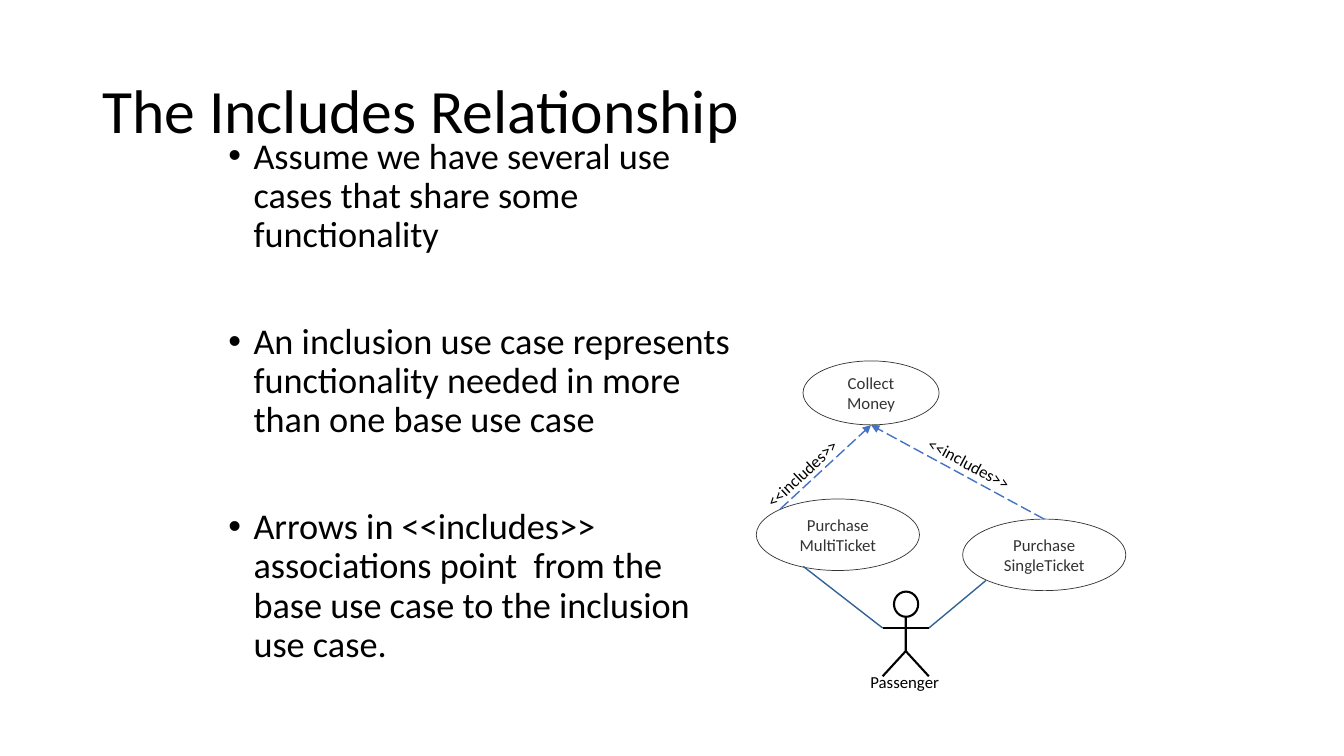
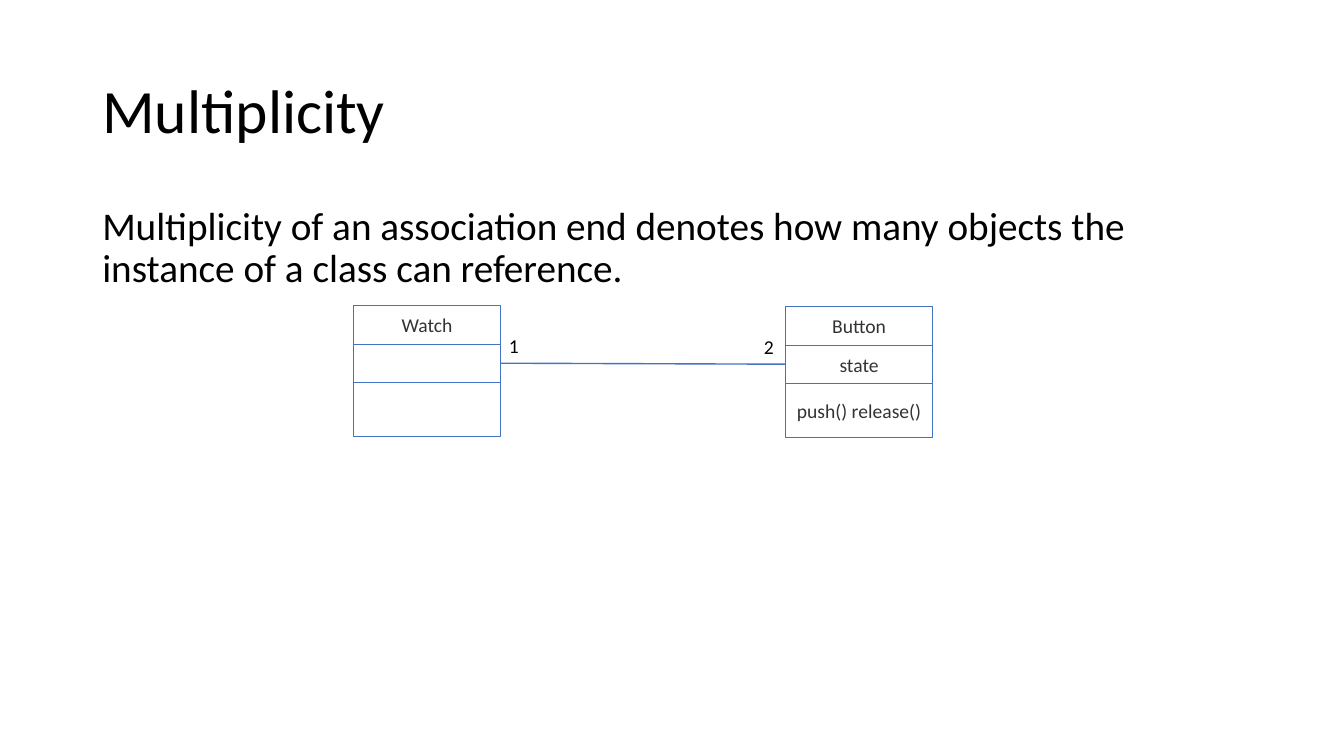
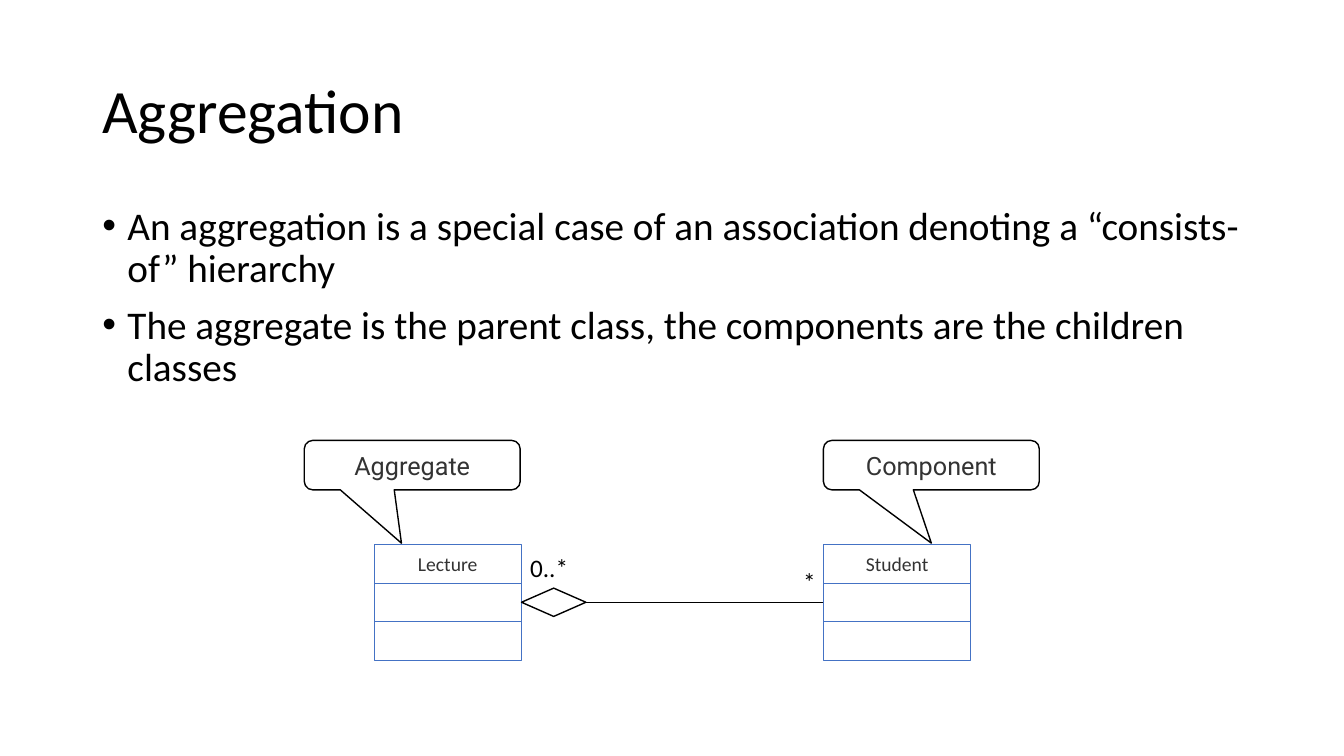
from dataclasses import dataclass

from lxml.etree import SubElement
from pptx import Presentation
from pptx.dml.color import RGBColor as RGB
from pptx.enum.dml import MSO_LINE as DASH
from pptx.enum.shapes import MSO_CONNECTOR as CXN, MSO_SHAPE as SHP
from pptx.enum.text import MSO_ANCHOR as ANCHOR, MSO_AUTO_SIZE as AUTO, PP_ALIGN as ALIGN
from pptx.oxml.ns import qn
from pptx.util import Pt

TOP, LEFT, BOTTOM, RIGHT = range(4)


@dataclass(frozen=True)
class Theme:
    # Colours
    black: RGB = RGB(0x00, 0x00, 0x00)
    white: RGB = RGB(0xFF, 0xFF, 0xFF)
    grey: RGB = RGB(0x33, 0x33, 0x33)
    blue: RGB = RGB(0x44, 0x72, 0xC4)
    steel: RGB = RGB(0x32, 0x63, 0x94)
    # Fonts and type sizes
    font: str = "Calibri"
    callout_font: str = "Roboto"
    title: float = 44
    body: float = 28
    compact: float = 25.9
    large: float = 18
    label: float = 14
    small: float = 12
    # Line widths
    hair: float = 0.5
    thin: float = 1
    bold: float = 1.5


T = Theme()


def apply(obj, fmt):
    for name, value in fmt.items():
        setattr(obj, name, value)


class Deck:
    """Holds the style and the slide being drawn."""

    def __init__(self):
        self.prs = Presentation()
        apply(self.prs, {"slide_width": Pt(960), "slide_height": Pt(540)})
        self.s = None

    def slide(self, title):
        self.s = self.prs.slides.add_slide(self.prs.slide_layouts[6])
        self.text(66, 28.8, 828, 104.4, title, T.title, wrap=True,
                  anchor=ANCHOR.MIDDLE, para={"line_spacing": 0.9})

    # Text
    def set_text(self, sp, text, size, color=T.black, font=T.font, wrap=True,
                 anchor=ANCHOR.TOP, para=None):
        tf = sp.text_frame
        apply(tf, {"text": text, "word_wrap": wrap, "vertical_anchor": anchor})
        for p in tf.paragraphs:
            apply(p, para or {})
            for r in p.runs:
                apply(r.font, {"name": font, "size": Pt(size)})
                r.font.color.rgb = color

    def text(self, x, y, w, h, text, size, **style):
        sp = self.s.shapes.add_textbox(Pt(x), Pt(y), Pt(w), Pt(h))
        self.set_text(sp, text, size, **style)
        return sp

    def body(self, x, y, w, h, lines, size=T.body, gap=10, bullets=True):
        sp = self.text(x, y, w, h, "\n".join(lines), size, wrap=True,
                       para={"line_spacing": 0.9, "space_before": Pt(gap)})
        for p in sp.text_frame.paragraphs if bullets else ():
            pPr = p._p.get_or_add_pPr()
            pPr.set("marL", str(Pt(18)))
            pPr.set("indent", str(Pt(-18)))
            SubElement(pPr, qn("a:buFont")).set("typeface", "Arial")
            SubElement(pPr, qn("a:buChar")).set("char", "•")

    def label(self, x, y, w, h, text, size, rotation=0, **style):
        sp = self.text(x, y, w, h, text, size, wrap=False, **style)
        sp.text_frame.auto_size = AUTO.SHAPE_TO_FIT_TEXT
        sp.rotation = rotation
        return sp

    # Shapes
    def paint(self, sp, color, width, fill=None):
        sp.shadow.inherit = False
        if fill is None:
            sp.fill.background()
        else:
            sp.fill.solid()
            sp.fill.fore_color.rgb = fill
        sp.line.color.rgb = color
        sp.line.width = Pt(width)
        return sp

    def shape(self, kind, x, y, w, h, color, width, fill=None):
        sp = self.s.shapes.add_shape(kind, Pt(x), Pt(y), Pt(w), Pt(h))
        return self.paint(sp, color, width, fill)

    def caption(self, sp, text, size, **style):
        self.set_text(sp, text, size, color=T.grey, anchor=ANCHOR.MIDDLE,
                      para={"alignment": ALIGN.CENTER}, **style)

    def use_case(self, x, y, w, h, text):
        sp = self.shape(SHP.OVAL, x, y, w, h, T.grey, T.hair)
        self.caption(sp, text, T.small)

    def class_box(self, x, y, rows, heights):
        cells = []
        for text, h in zip(rows, heights):
            sp = self.shape(SHP.RECTANGLE, x, y, 105.3, h, T.blue, T.hair)
            if text:
                self.caption(sp, text, T.label)
            cells.append(sp)
            y += h
        return cells

    def callout(self, x, y, text, tip):
        sp = self.shape(SHP.ROUNDED_RECTANGULAR_CALLOUT, x, y, 154.2, 35.3,
                        T.black, T.thin, T.white)
        for i, value in enumerate((*tip, 0.17)):
            sp.adjustments[i] = value
        self.caption(sp, text, T.large, font=T.callout_font, wrap=False)

    # Lines
    def line(self, start, end, color, width=T.thin, arrow=False):
        points = [Pt(v) for v in (*start, *end)]
        c = self.s.shapes.add_connector(CXN.STRAIGHT, *points)
        c.line.color.rgb = color
        c.line.width = Pt(width)
        spPr = c.element.spPr
        if arrow:
            c.line.dash_style = DASH.LONG_DASH
            SubElement(spPr.find(qn("a:ln")), qn("a:tailEnd")).set("type", "triangle")
        SubElement(spPr, qn("a:effectLst"))
        return c

    def join(self, a, side_a, b, side_b, color):
        c = self.line((0, 0), (0, 0), color)
        c.begin_connect(a, side_a)
        c.end_connect(b, side_b)

    def actor(self, x, y, name):
        """Stick figure; x is the spine and y the neck."""
        hip, foot, hand, half = y + 30.2, y + 48.2, y + 13.7, 16.5
        fb = self.s.shapes.build_freeform(Pt(x), Pt(y))
        fb.add_line_segments([(Pt(x), Pt(hip)), (Pt(x - half), Pt(foot))], close=False)
        self.paint(fb.convert_to_shape(), T.black, T.bold)
        self.line((x, hip), (x + half, foot), T.black, T.bold)
        self.line((x - half, hand), (x + half, hand), T.black, T.bold)
        self.shape(SHP.OVAL, x - 8.4, y - 12.3, 17.3, 18, T.black, T.bold, T.white)
        sp = self.label(x - 25.6, y + 44.6, 49.7, 14.4, name, T.small,
                        para={"alignment": ALIGN.CENTER})
        sides = ("left", "top", "right", "bottom")
        apply(sp.text_frame, {f"margin_{side}": 0 for side in sides})


def includes_slide(d):
    d.slide("The Includes Relationship")
    d.body(156, 95, 378, 387.4, [
        "Assume we have several use cases that share some functionality",
        "An inclusion use case represents functionality needed in more than one base use case",
        "Arrows in <<includes>> associations point  from the base use case to the inclusion use case.",
    ], T.compact, gap=48.4)

    # Use cases
    d.use_case(573.6, 257.8, 97.2, 45.7, "Collect\nMoney")
    d.use_case(687.6, 370.8, 116.6, 51.1, "Purchase\nSingleTicket")
    d.use_case(540.2, 356.4, 116.6, 51.1, "Purchase\nMultiTicket")

    # Inclusions
    for start in ((745.9, 370.8), (557.3, 363.6)):
        d.line(start, (622.2, 303.6), T.blue, arrow=True)
    for x, y, angle in ((653, 320.4, 28.1), (533.5, 326.9, 316.7)):
        d.label(x, y, 79.2, 21.6, "<<includes>>", T.small, angle, anchor=ANCHOR.MIDDLE)

    # Actor and its associations
    d.line((663.5, 448.6), (704.2, 414.7), T.steel)
    d.line((630.5, 448.6), (573.8, 404.6), T.steel)
    d.actor(647, 434.9, "Passenger")


def multiplicity_slide(d):
    d.slide("Multiplicity")
    d.body(66, 144, 828, 342.7, [
        "Multiplicity of an association end denotes how many objects the instance of a class can reference.",
    ], bullets=False)

    # Classes and their association
    heights = (27.5, 27.5, 38.7)
    watch = d.class_box(252.4, 218.2, ("Watch", "", ""), heights)
    button = d.class_box(561, 218.9, ("Button", "state", "push() release()"), heights)
    d.join(watch[1], RIGHT, button[1], LEFT, T.blue)
    d.label(356.4, 234.9, 22.3, 24.2, "1", T.label)
    d.label(538.6, 235.6, 22.3, 24.2, "2", T.label)


def aggregation_slide(d):
    d.slide("Aggregation")
    d.body(66, 144, 828, 342.7, [
        "An aggregation is a special case of an association denoting a “consists-of” hierarchy",
        "The aggregate is the parent class, the components are the children classes",
    ])

    # Callouts
    d.callout(217.4, 314.6, "Aggregate", (-0.05, 1.58))
    d.callout(588.2, 314.6, "Component", (0.0, 1.58))

    # Classes, diamond and association
    heights = (27.6,) * 3
    d.class_box(267.2, 388.8, ("Lecture", "", ""), heights)
    student = d.class_box(588.2, 388.8, ("Student", "", ""), heights)
    diamond = d.shape(SHP.DIAMOND, 372.5, 420.1, 46, 20.2, T.black, T.thin)
    d.join(student[1], LEFT, diamond, RIGHT, T.black)
    d.label(566.6, 401, 23.8, 28.8, "*", T.large)
    d.label(371.5, 391, 41.8, 28.8, "0..*", T.large)


def main():
    d = Deck()
    for build in (includes_slide, multiplicity_slide, aggregation_slide):
        build(d)
    d.prs.save("out.pptx")


if __name__ == "__main__":
    main()
